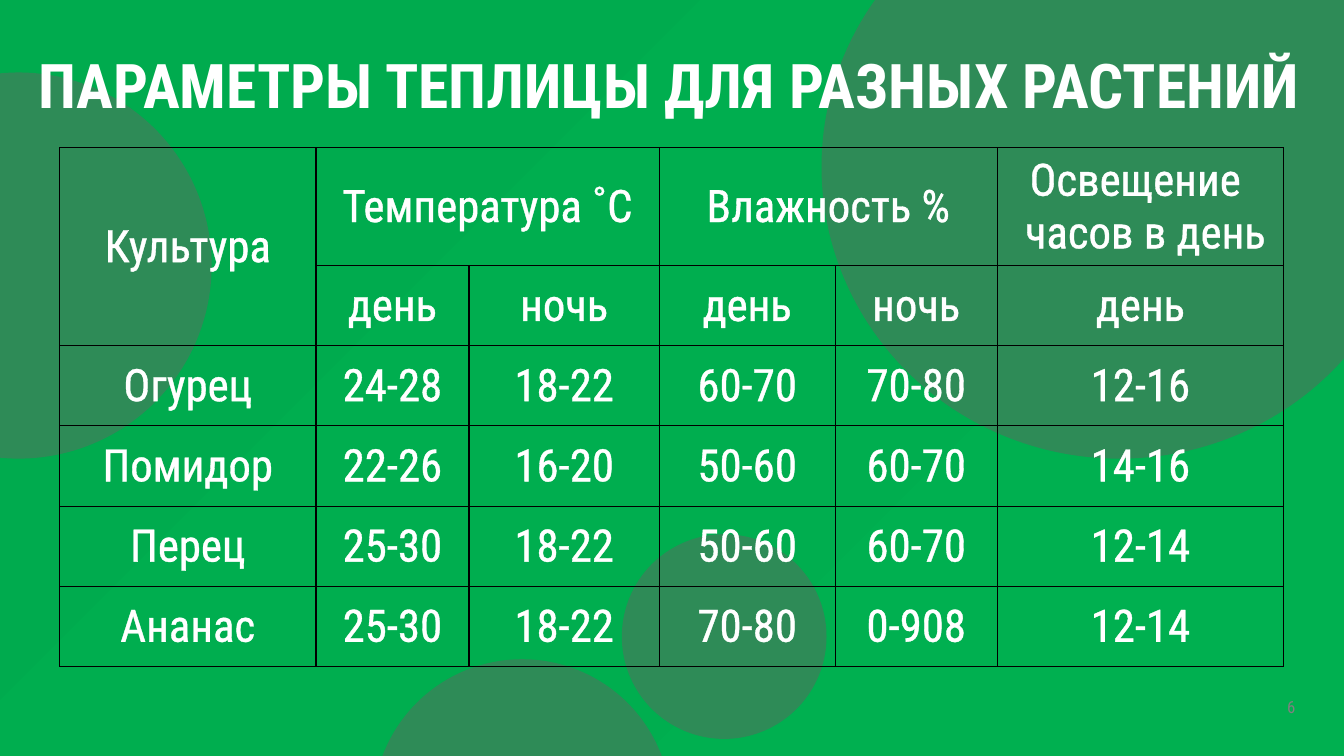
from pptx import Presentation
from pptx.dml.color import RGBColor
from pptx.enum.shapes import MSO_SHAPE as SHAPE
from pptx.enum.text import MSO_ANCHOR as ANCHOR, PP_ALIGN as ALIGN
from pptx.oxml import parse_xml
from pptx.oxml.ns import nsdecls, qn
from pptx.util import Pt

FONT = "Roboto Condensed"
WHITE = RGBColor(0xFF, 0xFF, 0xFF)
GRAY = RGBColor(0x80, 0x80, 0x80)
SEA_GREEN = RGBColor(0x2E, 0x8B, 0x57)
BG_START = RGBColor(0x00, 0xAB, 0x4E)
BG_END = RGBColor(0x00, 0xB0, 0x50)
BLACK = RGBColor(0, 0, 0)


def style(p, size, color, align, bold=False):
    p.alignment = align
    p.font.name = FONT
    p.font.size = Pt(size)
    p.font.bold = bold
    p.font.color.rgb = color


def line_xml(tag, width, color):
    return parse_xml(
        f'<a:{tag} {nsdecls("a")} w="{Pt(width)}"><a:solidFill>'
        f'<a:srgbClr val="{color}"/></a:solidFill></a:{tag}>')


prs = Presentation()
prs.slide_width, prs.slide_height = Pt(960), Pt(540)
s = prs.slides.add_slide(prs.slide_layouts[5])

# Background
fill = s.background.fill
fill.gradient()
fill.gradient_angle = 315
for stop, color in zip(fill.gradient_stops, (BG_START, BG_END)):
    stop.color.rgb = color

# Circles: left, top, width, height
CIRCLES = [
    (266.4, 470.9, 213.1, 213.1),
    (444.2, 381.6, 146.2, 146.2),
    (-124.6, 51.8, 275.8, 275.8),
    (586.8, -89.3, 425.5, 416.9),
]
for box in CIRCLES:
    sp = s.shapes.add_shape(SHAPE.OVAL, *map(Pt, box))
    sp.shadow.inherit = False
    sp.fill.solid()
    sp.fill.fore_color.rgb = SEA_GREEN
    sp.line.fill.background()

# Title, brought in front of the circles
title = s.shapes.title
s.shapes.element.append(title.element)
title.left, title.top, title.width, title.height = map(Pt, (20.5, 33, 921, 61.2))
tf = title.text_frame
tf.text = "ПАРАМЕТРЫ ТЕПЛИЦЫ ДЛЯ РАЗНЫХ РАСТЕНИЙ"
tf.word_wrap = True
tf.vertical_anchor = ANCHOR.MIDDLE
tf.paragraphs[0].line_spacing = 0.9
style(tf.paragraphs[0], 44, WHITE, ALIGN.LEFT, bold=True)

# Slide number
tf = s.shapes.add_textbox(Pt(716.4), Pt(495.5), Pt(216), Pt(21)).text_frame
tf.text = "6"
tf.word_wrap = True
tf.vertical_anchor = ANCHOR.MIDDLE
tf.paragraphs[0].line_spacing = 0.9
style(tf.paragraphs[0], 12, GRAY, ALIGN.RIGHT)

# Table of growing conditions
ROWS = [
    ["Культура", "Температура ˚С", "", "Влажность %", "",
     "Освещение \n часов в день"],
    ["", "день", "ночь", "день", "ночь", "день"],
    ["Огурец", "24-28", "18-22", "60-70", "70-80", "12-16"],
    ["Помидор", "22-26", "16-20", "50-60", "60-70", "14-16"],
    ["Перец", "25-30", "18-22", "50-60", "60-70", "12-14"],
    ["Ананас", "25-30", "18-22", "70-80", "0-908", "12-14"],
]
COL_WIDTHS = [183, 109.4, 136, 125.5, 116, 204.3]
ROW_HEIGHTS = [67.7] + [57.3] * 5
table = s.shapes.add_table(
    len(ROWS), len(COL_WIDTHS), Pt(42.7), Pt(105.6),
    Pt(sum(COL_WIDTHS)), Pt(sum(ROW_HEIGHTS))).table
table.first_row = table.horz_banding = False
for col, width in zip(table.columns, COL_WIDTHS):
    col.width = Pt(width)
for row, height in zip(table.rows, ROW_HEIGHTS):
    row.height = Pt(height)

for r, texts in enumerate(ROWS):
    for c, text in enumerate(texts):
        cell = table.cell(r, c)
        cell.fill.background()
        cell.vertical_anchor = ANCHOR.MIDDLE
        tcPr = cell._tc.get_or_add_tcPr()
        for i, side in enumerate(("lnL", "lnR", "lnT", "lnB")):
            tcPr.insert(i, line_xml(side, 1, BLACK))
        if not text:
            continue
        cell.text = text
        for p in cell.text_frame.paragraphs:
            style(p, 32, WHITE, ALIGN.CENTER)
            # Thin white outline around the letters
            p._p.pPr.find(qn("a:defRPr")).insert(0, line_xml("ln", 0.75, WHITE))

# Merged headings
for first, last in [((0, 0), (1, 0)), ((0, 1), (0, 2)), ((0, 3), (0, 4))]:
    table.cell(*first).merge(table.cell(*last))

prs.save("out.pptx")
